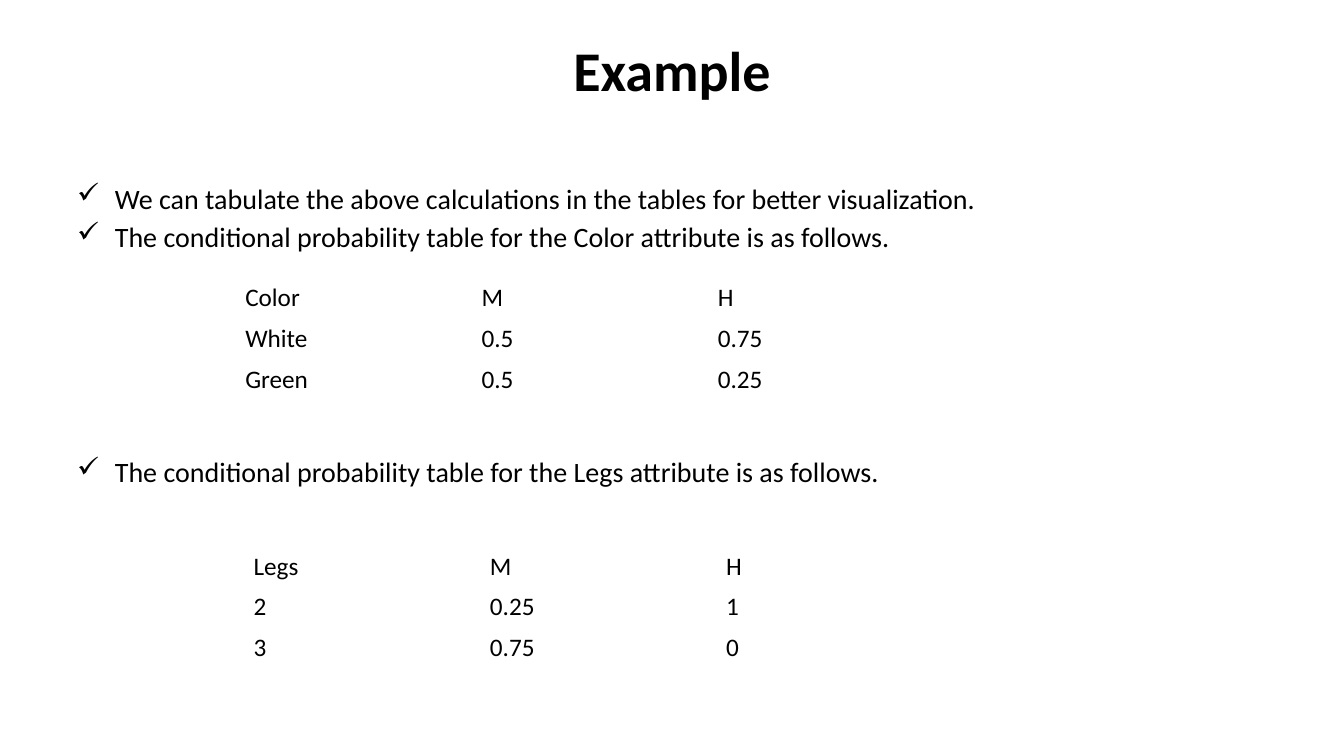
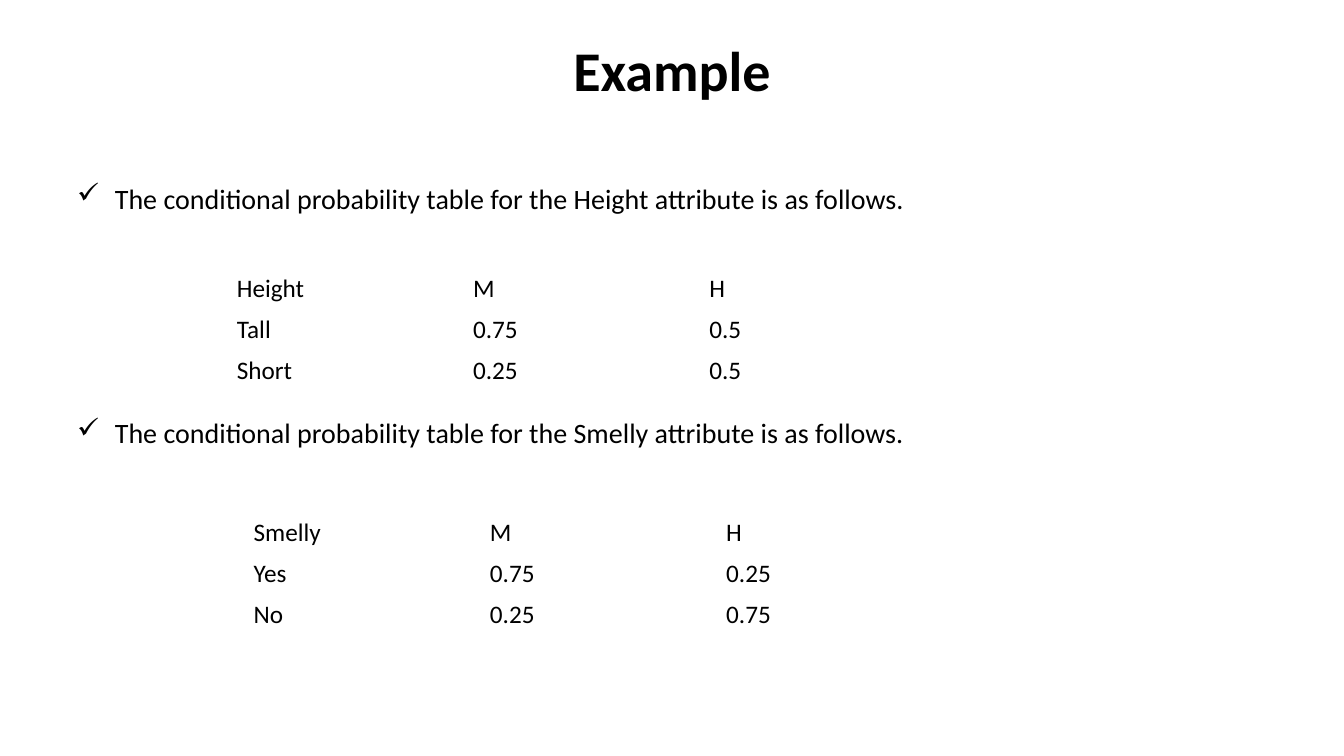
from dataclasses import dataclass

from lxml import etree
from pptx import Presentation, util as u
from pptx.dml.color import RGBColor
from pptx.enum import text
from pptx.oxml import ns


@dataclass(frozen=True)
class Theme:
    """Colours, type sizes and spacing shared by every slide."""

    font: str = "Calibri"
    ink: RGBColor = RGBColor(0x00, 0x00, 0x00)
    paper: RGBColor = RGBColor(0xFF, 0xFF, 0xFF)
    title: int = 40
    body: int = 20
    cell: int = 18
    bullet: str = "✓"
    bullet_gap: float = 3.6
    table_gap: float = 143.6


T = Theme()
SLIDE_W, SLIDE_H = 1280, 720
TITLE_BOX = (64, 29, 1152, 120)
BODY_BOX = (64, 168, 1152, 475)
INDENT = 36
COL_W, ROW_H = 225, 39

SLIDES = [
    {
        "title": "Example",
        "bullets": [
            ("We can tabulate the above calculations in the tables for better visualization.", 0),
            ("The conditional probability table for the Color attribute is as follows.", T.bullet_gap),
            ("The conditional probability table for the Legs attribute is as follows.", T.table_gap),
        ],
        "tables": [
            ((224, 264), [("Color", "M", "H"), ("White", "0.5", "0.75"), ("Green", "0.5", "0.25")]),
            ((232, 520), [("Legs", "M", "H"), ("2", "0.25", "1"), ("3", "0.75", "0")]),
        ],
    },
    {
        "title": "Example",
        "bullets": [
            ("The conditional probability table for the Height attribute is as follows.", 0),
            ("The conditional probability table for the Smelly attribute is as follows.", T.table_gap),
        ],
        "tables": [
            ((216, 256), [("Height", "M", "H"), ("Tall", "0.75", "0.5"), ("Short", "0.25", "0.5")]),
            ((232, 488), [("Smelly", "M", "H"), ("Yes", "0.75", "0.25"), ("No", "0.25", "0.75")]),
        ],
    },
]


def px(n):
    """Turn whole pixels into EMU."""
    return u.Emu(n * 9525)


def add_run(p, words, size, bold=False):
    """Add one styled run to a paragraph."""
    r = p.add_run()
    r.text = words
    r.font.name = T.font
    r.font.size = u.Pt(size)
    r.font.bold = bold
    r.font.color.rgb = T.ink


def add_text_frame(s, box):
    """Add a wrapping, top-anchored text box and return its frame."""
    tf = s.shapes.add_textbox(*map(px, box)).text_frame
    tf.word_wrap = True
    tf.vertical_anchor = text.MSO_ANCHOR.TOP
    return tf


def add_title(s, box, words):
    """Place the centred slide title in its box."""
    p = add_text_frame(s, box).paragraphs[0]
    p.alignment = text.PP_ALIGN.CENTER
    add_run(p, words, T.title, bold=True)


def add_bullets(s, box, bullets):
    """Place check-marked lines, each with its own space before."""
    tf = add_text_frame(s, box)
    for i, (words, gap) in enumerate(bullets):
        p = tf.add_paragraph() if i else tf.paragraphs[0]
        pPr = p._p.get_or_add_pPr()
        pPr.set("marL", str(px(INDENT)))
        pPr.set("indent", str(-px(INDENT)))
        etree.SubElement(pPr, ns.qn("a:buChar")).set("char", T.bullet)
        p.space_before = u.Pt(gap)
        add_run(p, words, T.body)


def add_probabilities(s, corner, rows):
    """Place a plain probability table from its top left corner."""
    size = (COL_W * len(rows[0]), ROW_H * len(rows))
    table = s.shapes.add_table(len(rows), len(rows[0]), *map(px, corner + size)).table
    table.first_row = table.horz_banding = False
    for i, row in enumerate(rows):
        for j, words in enumerate(row):
            cell = table.cell(i, j)
            cell.fill.solid()
            cell.fill.fore_color.rgb = T.paper
            cell.vertical_anchor = text.MSO_ANCHOR.MIDDLE
            add_run(cell.text_frame.paragraphs[0], words, T.cell)


def add_example(prs, content):
    """Add one example slide: title, bullets and tables."""
    s = prs.slides.add_slide(prs.slide_layouts[6])
    add_title(s, TITLE_BOX, content["title"])
    add_bullets(s, BODY_BOX, content["bullets"])
    for corner, rows in content["tables"]:
        add_probabilities(s, corner, rows)


def main():
    """Build and save the presentation."""
    prs = Presentation()
    prs.slide_width, prs.slide_height = px(SLIDE_W), px(SLIDE_H)
    for content in SLIDES:
        add_example(prs, content)
    prs.save("out.pptx")


if __name__ == "__main__":
    main()
